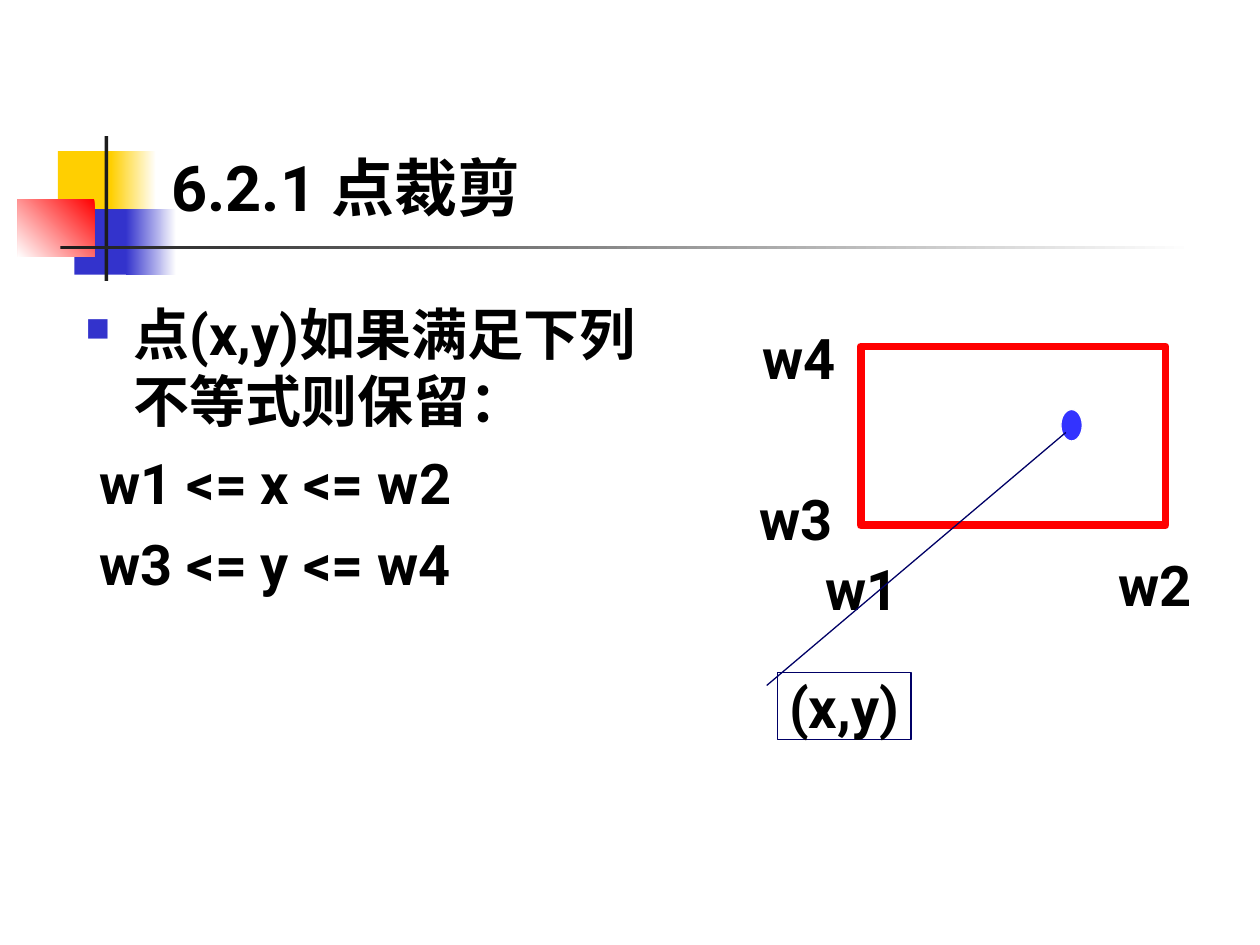
from lxml import etree
from pptx import Presentation
from pptx.dml.color import RGBColor
from pptx.enum.shapes import MSO_SHAPE
from pptx.enum.text import MSO_ANCHOR, PP_ALIGN
from pptx.oxml.ns import qn
from pptx.util import Inches, Pt

RECT, OVAL, CALLOUT = MSO_SHAPE.RECTANGLE, MSO_SHAPE.OVAL, MSO_SHAPE.LINE_CALLOUT_1
TOP, MIDDLE, BOTTOM = MSO_ANCHOR.TOP, MSO_ANCHOR.MIDDLE, MSO_ANCHOR.BOTTOM
LEFT, CENTER = PP_ALIGN.LEFT, PP_ALIGN.CENTER
FONT = "Roboto"
COLORS = {
    "text": "000000", "white": "FFFFFF", "yellow": "FFCF01", "blue": "3333CC",
    "red": "FF0000", "dark": "1C1C1C", "point": "3333FF", "callout": "000066",
}


def rgb(name):
    return RGBColor.from_string(COLORS[name])


def add_shape(s, kind, box, fill=None, line=None, width=0.75, angle=0):
    """Add a shape; a pair of colours as fill makes a gradient."""
    sp = s.shapes.add_shape(kind, *map(Inches, box))
    sp.shadow.inherit = False
    if fill is None:
        sp.fill.background()
    elif isinstance(fill, tuple):
        sp.fill.gradient()
        sp.fill.gradient_angle = angle
        for stop, color in zip(sp.fill.gradient_stops, fill):
            stop.color.rgb = rgb(color)
    else:
        sp.fill.solid()
        sp.fill.fore_color.rgb = rgb(fill)
    if line:
        sp.line.color.rgb = rgb(line)
        sp.line.width = Pt(width)
    else:
        sp.line.fill.background()
    return sp


def set_frame(tf, anchor, inset_x=0, inset_y=0, wrap=True):
    values = {
        "margin_left": Inches(inset_x), "margin_right": Inches(inset_x),
        "margin_top": Inches(inset_y), "margin_bottom": Inches(inset_y),
        "vertical_anchor": anchor, "word_wrap": wrap,
    }
    for name, value in values.items():
        setattr(tf, name, value)


def write(p, text, size=32, align=LEFT):
    p.alignment = align
    r = p.add_run()
    r.text = text
    for name, value in {"name": FONT, "size": Pt(size), "bold": True}.items():
        setattr(r.font, name, value)
    r.font.color.rgb = rgb("text")
    etree.SubElement(r.font._element, qn("a:ea"), typeface=FONT)


def set_indent(p, margin, indent=0):
    pPr = p._p.get_or_add_pPr()
    pPr.set("marL", str(Inches(margin)))
    pPr.set("indent", str(Inches(indent)))
    return pPr


def add_square_bullet(p, color):
    pPr = set_indent(p, 0.38, -0.38)
    bu_color = etree.SubElement(pPr, qn("a:buClr"))
    etree.SubElement(bu_color, qn("a:srgbClr"), val=COLORS[color])
    etree.SubElement(pPr, qn("a:buSzPct"), val="60000")
    etree.SubElement(pPr, qn("a:buChar"), char="■")


def add_ornament(s, x, y):
    """Draw the coloured squares and the crossing bars beside the title."""
    for dx, dy, w, h, fill, angle in [
        (0.32, 0.12, 0.48, 0.52, "yellow", 0),
        (0.74, 0.12, 0.36, 0.52, ("yellow", "white"), 0),
        (0.45, 0.58, 0.46, 0.52, "blue", 0),
        (0.86, 0.58, 0.4, 0.52, ("blue", "white"), 0),
        (0, 0.5, 0.61, 0.46, ("red", "white"), 225),
        (0.69, 0, 0.03, 1.15, "dark", 0),
        (0.34, 0.87, 9, 0.03, ("dark", "white"), 0),
    ]:
        add_shape(s, RECT, (x + dx, y + dy, w, h), fill, angle=angle)


def add_title(s, box, text):
    tf = s.shapes.add_textbox(*map(Inches, box)).text_frame
    set_frame(tf, BOTTOM, 0.1, 0.05)
    write(tf.paragraphs[0], text, 36)


def add_body(s, box, lead, conditions):
    tf = s.shapes.add_textbox(*map(Inches, box)).text_frame
    set_frame(tf, TOP, 0.1, 0.05)
    add_square_bullet(tf.paragraphs[0], "blue")
    write(tf.paragraphs[0], lead)
    for condition in conditions:
        p = tf.add_paragraph()
        set_indent(p, 0.11)
        p.space_before = Pt(8)
        write(p, condition)


def add_clip_window(s, x, y, w, h):
    """Draw the window with its limits, the point inside and its callout."""
    add_shape(s, RECT, (x, y, w, h), line="red", width=4.5)
    add_shape(s, OVAL, (x + 1.59, y + 0.5, 0.17, 0.25), "point", "white")
    for text, dx, dy in [
        ("w1", -0.31, h + 0.23), ("w2", w - 0.4, h + 0.2),
        ("w3", -0.83, h - 0.32), ("w4", -0.81, -0.18),
    ]:
        box = (x + dx, y + dy, 0.64, 0.53)
        tf = s.shapes.add_textbox(*map(Inches, box)).text_frame
        set_frame(tf, MIDDLE, wrap=False)
        write(tf.paragraphs[0], text, align=CENTER)
    sp = add_shape(s, CALLOUT, (x - 0.66, y + 2.59, 1.06, 0.53), line="callout")
    for i, value in enumerate((0.19, -0.08, -3.6, 2.16)):
        sp.adjustments[i] = value
    set_frame(sp.text_frame, MIDDLE)
    write(sp.text_frame.paragraphs[0], "(x,y)", align=CENTER)


def main():
    prs = Presentation()
    prs.slide_width, prs.slide_height = Inches(10), Inches(7.5)
    s = prs.slides.add_slide(prs.slide_layouts[6])
    add_ornament(s, 0.14, 1.08)
    add_title(s, (1.26, 0.23, 8.52, 1.6), "6.2.1 点裁剪")
    add_body(s, (0.58, 2.33, 4.99, 4.5), "点(x,y)如果满足下列不等式则保留：",
             ["w1 <= x <= w2", "w3 <= y <= w4"])
    add_clip_window(s, 6.83, 2.75, 2.42, 1.42)
    prs.save("out.pptx")


if __name__ == "__main__":
    main()
